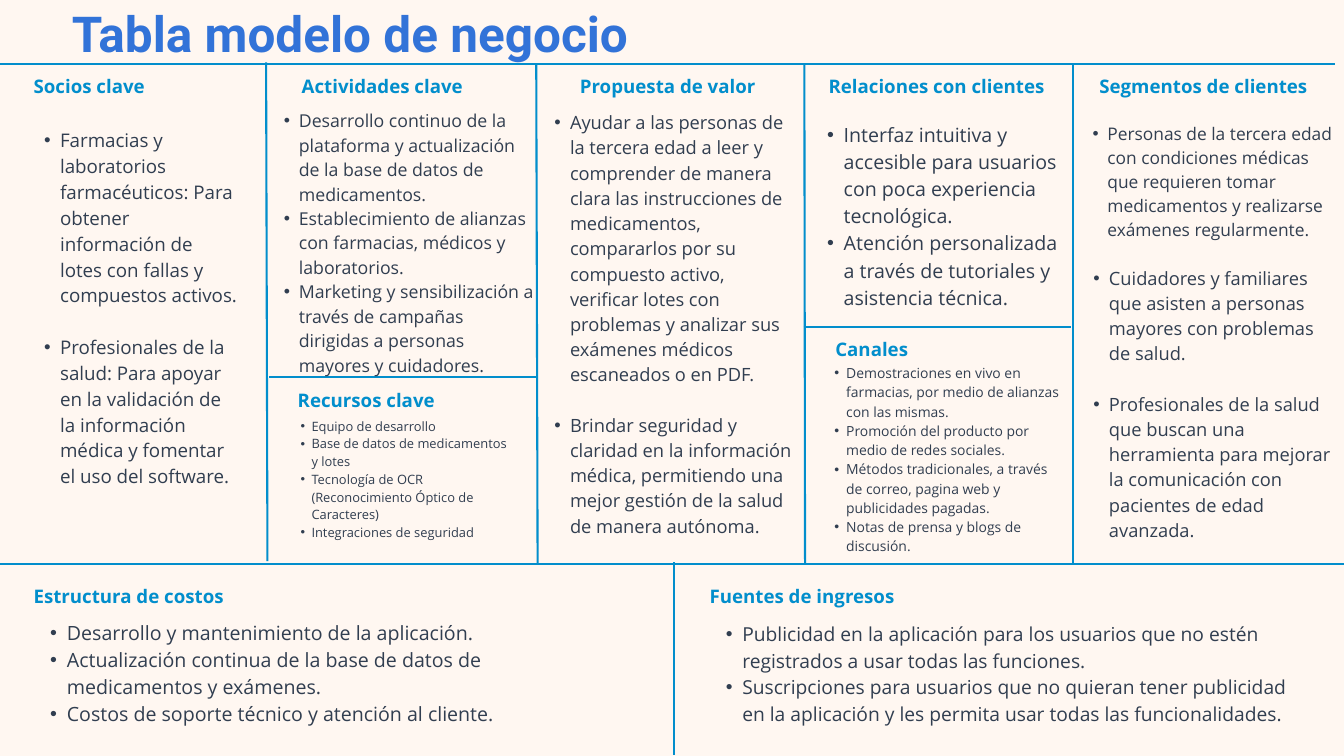
from dataclasses import dataclass

from lxml import etree
from pptx import Presentation
from pptx.dml.color import RGBColor
from pptx.enum.shapes import MSO_CONNECTOR
from pptx.enum.text import MSO_ANCHOR, MSO_AUTO_SIZE, PP_ALIGN
from pptx.oxml.ns import qn
from pptx.util import Inches, Pt

STRAIGHT = MSO_CONNECTOR.STRAIGHT
TOP = MSO_ANCHOR.TOP
GROW = MSO_AUTO_SIZE.SHAPE_TO_FIT_TEXT
LEFT = PP_ALIGN.LEFT

WIDTH, HEIGHT = Inches(20), Inches(11.25)
COLS, ROWS = 100, 45


@dataclass(frozen=True)
class Theme:
    background: str = "FFF7F1"
    accent: str = "028ECC"
    title: str = "3273D8"
    body: str = "313E50"
    title_font: str = "Roboto"
    body_font: str = "Open Sans"
    title_size: float = 53
    heading_size: float = 20
    rule_width: float = 2.25
    heading_leading: float = 1.2
    body_leading: float = 1.38
    body_indent: float = 1.7


THEME = Theme()

RULES = [
    (-0.7, 3.8, 99.3, 3.8),
    (0, 33.56, 100, 33.56),
    (19.8, 3.72, 19.9, 33.4),
    (20, 22.44, 39.9, 22.44),
    (59.8, 19.48, 79.7, 19.48),
    (39.9, 3.76, 40, 33.52),
    (50.15, 33.48, 50.15, 44.96),
    (59.85, 3.76, 59.9, 33.52),
    (79.85, 3.8, 79.85, 33.52),
]

BLOCKS = [
    ("Socios clave", (2.5, 4.48, 14.55), (2.1, 7.48, 15.6, 22.84), 20.1, True, [
        "Farmacias y laboratorios farmacéuticos: Para obtener información de lotes con fallas y compuestos activos.",
        "Profesionales de la salud: Para apoyar en la validación de la información médica y fomentar el uso del software.",
    ]),
    ("Actividades clave", (22.45, 4.48, 15.5), (20, 6.36, 19.8, 16.96), 19, False, [
        "Desarrollo continuo de la plataforma y actualización de la base de datos de medicamentos.",
        "Establecimiento de alianzas con farmacias, médicos y laboratorios.",
        "Marketing y sensibilización a través de campañas dirigidas a personas mayores y cuidadores.",
    ]),
    ("Recursos clave", (22.15, 23.16, 15.55), (21.55, 24.76, 16.2, 8.36), 13.8, False, [
        "Equipo de desarrollo",
        "Base de datos de medicamentos y lotes",
        "Tecnología de OCR (Reconocimiento Óptico de Caracteres)",
        "Integraciones de seguridad",
    ]),
    ("Propuesta de valor", (43.15, 4.48, 13.5), (40.1, 6.44, 19.15, 27), 19.6, True, [
        "Ayudar a las personas de la tercera edad a leer y comprender de manera clara las instrucciones de medicamentos, "
        "compararlos por su compuesto activo, verificar lotes con problemas y analizar sus exámenes médicos escaneados o en PDF.",
        "Brindar seguridad y claridad en la información médica, permitiendo una mejor gestión de la salud de manera autónoma.",
    ]),
    ("Relaciones con clientes", (61.65, 4.48, 17.75), (60.3, 7.12, 19.25, 12.64), 21, False, [
        "Interfaz intuitiva y accesible para usuarios con poca experiencia tecnológica.",
        "Atención personalizada a través de tutoriales y asistencia técnica.",
    ]),
    ("Canales", (62.15, 20.08, 15.55), (61.2, 21.56, 17.65, 11.28), 14.9, False, [
        "Demostraciones en vivo en farmacias, por medio de alianzas con las mismas.",
        "Promoción del producto por medio de redes sociales.",
        "Métodos tradicionales, a través de correo, pagina web y publicidades pagadas.",
        "Notas de prensa y blogs de discusión.",
    ]),
    ("Segmentos de clientes", (81.8, 4.48, 15.55), (80.2, 7.12, 19.45, 26.52), (18.6, 19.6, 19.6), True, [
        "Personas de la tercera edad con condiciones médicas que requieren tomar medicamentos y realizarse exámenes regularmente.",
        "Cuidadores y familiares que asisten a personas mayores con problemas de salud.",
        "Profesionales de la salud que buscan una herramienta para mejorar la comunicación con pacientes de edad avanzada.",
    ]),
    ("Estructura de costos", (2.5, 34.84, 15.55), (2.5, 36.76, 35.85, 7.84), 21, False, [
        "Desarrollo y mantenimiento de la aplicación.",
        "Actualización continua de la base de datos de medicamentos y exámenes.",
        "Costos de soporte técnico y atención al cliente.",
    ]),
    ("Fuentes de ingresos", (52.8, 34.84, 15.55), (52.8, 36.84, 44.55, 6.12), 20.6, False, [
        "Publicidad en la aplicación para los usuarios que no estén registrados a usar todas las funciones.",
        "Suscripciones para usuarios que no quieran tener publicidad en la aplicación y les permita usar todas las funcionalidades.",
    ]),
]


def grid(*cells):
    return [round(c * (HEIGHT / ROWS if i % 2 else WIDTH / COLS)) for i, c in enumerate(cells)]


def set_frame(sp):
    tf = sp.text_frame
    tf.margin_left = tf.margin_top = tf.margin_right = tf.margin_bottom = 0
    tf.word_wrap = True
    tf.vertical_anchor = TOP
    tf.auto_size = GROW
    return tf


def add_box(s, cells):
    return set_frame(s.shapes.add_textbox(*grid(*cells)))


def write(p, text, *, size, color, font=THEME.body_font, bold=False, leading=THEME.heading_leading):
    p.alignment = LEFT
    p.line_spacing = Pt(round(size * leading, 1))
    r = p.add_run()
    r.text = text
    r.font.name = font
    r.font.size = Pt(size)
    r.font.bold = bold
    r.font.color.rgb = RGBColor.from_string(color)


def set_bullet(p, size):
    indent = Pt(size * THEME.body_indent)
    p.level = 1
    pPr = p._p.get_or_add_pPr()
    pPr.set("marL", str(indent))
    pPr.set("indent", str(-indent // 2))
    etree.SubElement(pPr, qn("a:buFont")).set("typeface", "Arial")
    etree.SubElement(pPr, qn("a:buChar")).set("char", "•")


def add_rule(s, cells):
    line = s.shapes.add_connector(STRAIGHT, *grid(*cells))
    line.line.color.rgb = RGBColor.from_string(THEME.accent)
    line.line.width = Pt(THEME.rule_width)
    etree.SubElement(line._element.spPr, qn("a:effectLst"))


def add_heading(s, text, cells):
    tf = add_box(s, (*cells, 1.28))
    write(tf.paragraphs[0], text, size=THEME.heading_size, color=THEME.accent, bold=True)


def add_list(s, items, cells, sizes, spaced):
    tf = add_box(s, cells)
    if not isinstance(sizes, tuple):
        sizes = (sizes,) * len(items)
    for i, (text, size) in enumerate(zip(items, sizes)):
        p = tf.paragraphs[0] if i == 0 else tf.add_paragraph()
        set_bullet(p, size)
        write(p, text, size=size, color=THEME.body, leading=THEME.body_leading)
        if spaced and i < len(items) - 1:
            p.space_after = p.line_spacing


def set_title(s, text):
    sp = s.shapes.title
    sp.left, sp.top, sp.width, sp.height = grid(5.35, 0.2, 49.2, 3.56)
    tf = set_frame(sp)
    write(tf.paragraphs[0], text, size=THEME.title_size, color=THEME.title, font=THEME.title_font, bold=True)


def main():
    prs = Presentation()
    prs.slide_width, prs.slide_height = WIDTH, HEIGHT
    s = prs.slides.add_slide(prs.slide_layouts[5])
    s.background.fill.solid()
    s.background.fill.fore_color.rgb = RGBColor.from_string(THEME.background)
    for cells in RULES:
        add_rule(s, cells)
    for heading, heading_cells, list_cells, sizes, spaced, items in BLOCKS:
        add_heading(s, heading, heading_cells)
        add_list(s, items, list_cells, sizes, spaced)
    set_title(s, "Tabla modelo de negocio")
    prs.save("out.pptx")


if __name__ == "__main__":
    main()
